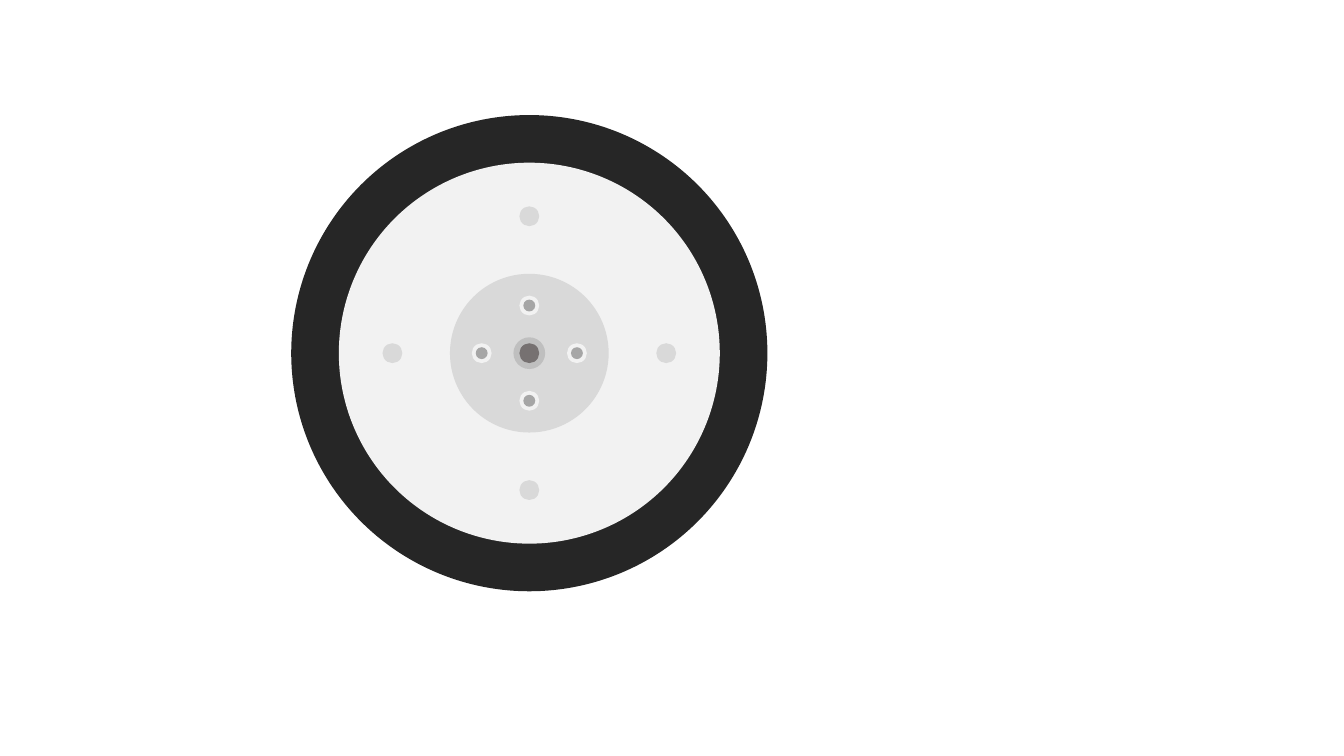
from pptx import Presentation
from pptx.dml.color import RGBColor
from pptx.enum.shapes import MSO_SHAPE
from pptx.util import Cm

OVAL = MSO_SHAPE.OVAL

COLORS = {
    "tyre": "262626",
    "rim": "F2F2F2",
    "hub": "D9D9D9",
    "ring": "BFBFBF",
    "bolt": "A6A6A6",
    "axle": "767171",
}

# Wheel centre in cm
MID_X, MID_Y = 13.34, 8.9

# Right, down, left, up
SIDES = [(1, 0), (0, 1), (-1, 0), (0, -1)]


def add_disc(slide, size, color, dx=0, dy=0):
    """Draw a disc of the given diameter, offset from the wheel centre."""
    left, top = MID_X + dx - size / 2, MID_Y + dy - size / 2
    disc = slide.shapes.add_shape(OVAL, Cm(left), Cm(top), Cm(size), Cm(size))
    disc.shadow.inherit = False
    disc.fill.solid()
    disc.fill.fore_color.rgb = RGBColor.from_string(COLORS[color])
    disc.line.fill.background()


def add_spots(slide, size, color, reach):
    """Draw four equal discs around the centre."""
    for x, y in SIDES:
        add_disc(slide, size, color, x * reach, y * reach)


def main():
    deck = Presentation()
    deck.slide_width, deck.slide_height = Cm(33.87), Cm(19.05)
    slide = deck.slides.add_slide(deck.slide_layouts[6])

    # Tyre, rim, hub and axle share one centre
    for size, color in [(12, "tyre"), (9.6, "rim"), (4, "hub"),
                        (0.8, "ring"), (0.5, "axle")]:
        add_disc(slide, size, color)

    # Holes in the rim
    add_spots(slide, 0.5, "hub", 3.45)

    # Bolts on the hub, each on a pale washer
    add_spots(slide, 0.5, "rim", 1.2)
    add_spots(slide, 0.3, "bolt", 1.2)

    deck.save("out.pptx")


main()
